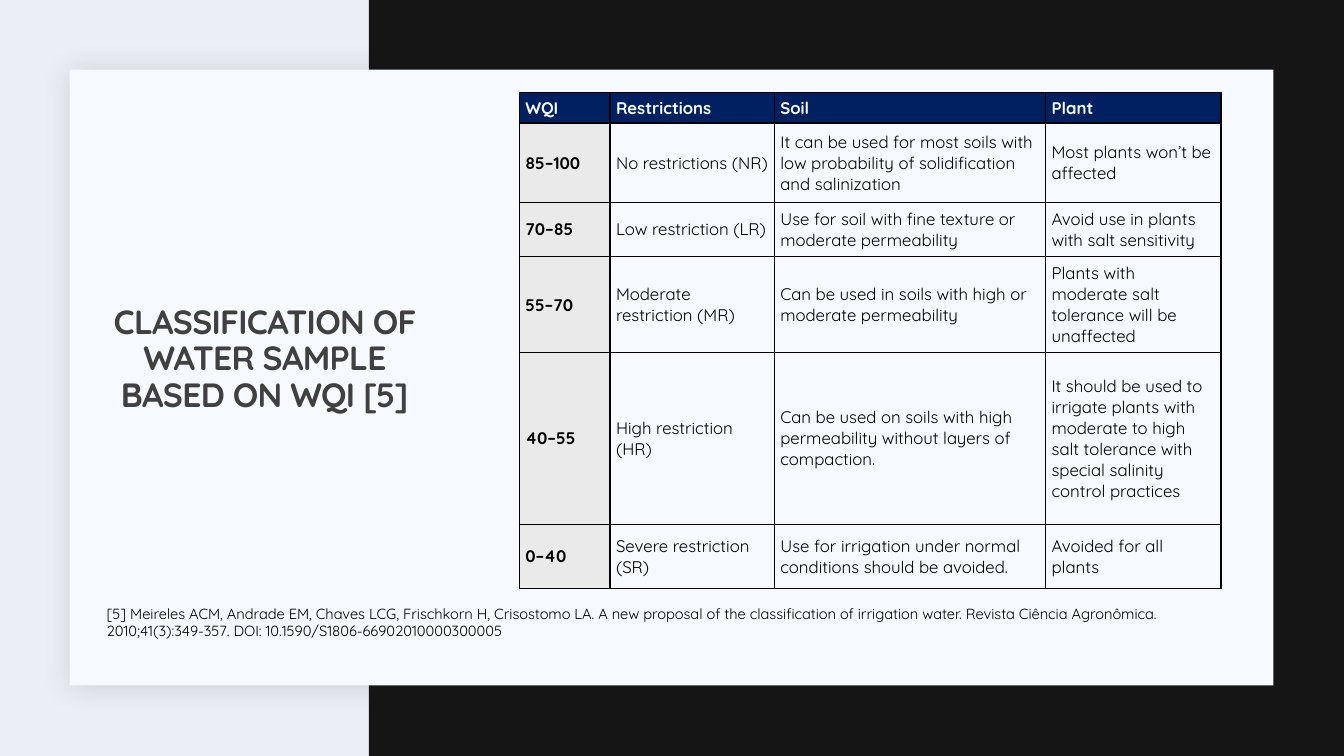
from lxml.etree import SubElement
from pptx import Presentation
from pptx.dml.color import RGBColor
from pptx.enum.shapes import MSO_SHAPE
from pptx.enum.text import MSO_ANCHOR, MSO_AUTO_SIZE, PP_ALIGN
from pptx.oxml import parse_xml
from pptx.oxml.ns import nsdecls, qn
from pptx.util import Inches, Pt

# Content
TITLE = "CLASSIFICATION OF WATER SAMPLE BASED ON WQI [5]"
REFERENCE = (
    "[5] Meireles ACM, Andrade EM, Chaves LCG, Frischkorn H, Crisostomo LA. "
    "A new proposal of the classification of irrigation water. Revista Ciência "
    "Agronômica. 2010;41(3):349-357. DOI: 10.1590/S1806-66902010000300005"
)
ROWS = [
    ("WQI", "Restrictions", "Soil", "Plant"),
    ("85–100", "No restrictions (NR)",
     "It can be used for most soils with low probability of solidification and salinization",
     "Most plants won’t be affected"),
    ("70–85", "Low restriction (LR)",
     "Use for soil with fine texture or moderate permeability",
     "Avoid use in plants with salt sensitivity"),
    ("55–70", "Moderate restriction (MR)",
     "Can be used in soils with high or moderate permeability",
     "Plants with moderate salt tolerance will be unaffected"),
    ("40–55", "High restriction (HR)",
     "Can be used on soils with high permeability without layers of compaction.",
     "It should be used to irrigate plants with moderate to high salt tolerance "
     "with special salinity control practices"),
    ("0–40", "Severe restriction (SR)",
     "Use for irrigation under normal conditions should be avoided.",
     "Avoided for all plants"),
]
COLUMN_WIDTHS = (0.9, 1.63, 2.69, 1.74)
ROW_HEIGHTS = (0.3, 0.79, 0.53, 0.94, 1.7, 0.64)

FONT = "Quicksand"
PALE, PANEL, DARK = "ECEEF7", "F6F9FF", "141514"
NAVY, GREY, BLACK, TITLE_GREY = "002060", "EAEAEB", "000000", "404040"


def paint(fill, color):
    fill.solid()
    fill.fore_color.rgb = RGBColor.from_string(color)


def write(paragraph, text, size, color, bold=False):
    run = paragraph.add_run()
    run.text = text
    run.font.name = FONT
    run.font.size = Pt(size)
    run.font.bold = bold
    run.font.color.rgb = RGBColor.from_string(color)
    return run


def add_panel(slide, box, color):
    panel = slide.shapes.add_shape(MSO_SHAPE.RECTANGLE, *map(Inches, box))
    panel.shadow.inherit = False
    paint(panel.fill, color)
    panel.line.fill.background()
    slide.shapes.title.element.addprevious(panel.element)  # keep behind the title
    return panel


def add_soft_shadow(shape):
    effects = shape.element.spPr.find(qn("a:effectLst"))
    effects.append(parse_xml(
        f'<a:outerShdw {nsdecls("a")} blurRad="{Pt(20)}" dist="{Pt(2)}" '
        'dir="2700000" algn="ctr" rotWithShape="0"><a:srgbClr val="1F2125">'
        '<a:alpha val="15000"/></a:srgbClr></a:outerShdw>'))


def add_borders(cell):
    properties = cell._tc.get_or_add_tcPr()
    for side in ("lnL", "lnR", "lnT", "lnB"):
        line = SubElement(properties, qn(f"a:{side}"), w=str(Pt(1)))
        SubElement(SubElement(line, qn("a:solidFill")), qn("a:srgbClr"), val=BLACK)


def format_cell(cell, text, is_header, is_label):
    add_borders(cell)
    if is_header or is_label:
        paint(cell.fill, NAVY if is_header else GREY)
    else:
        cell.fill.background()
    cell.vertical_anchor = MSO_ANCHOR.MIDDLE
    cell.margin_left = cell.margin_right = Inches(0.06)
    cell.margin_top = cell.margin_bottom = Inches(0 if is_header else 0.06)
    write(cell.text_frame.paragraphs[0], text, 12,
          PANEL if is_header else BLACK, is_header or is_label)


presentation = Presentation()
presentation.slide_width, presentation.slide_height = Inches(13.33), Inches(7.5)
slide = presentation.slides.add_slide(presentation.slide_layouts[5])
paint(slide.background.fill, PALE)

# Backdrop
add_panel(slide, (3.66, 0, 9.67, 7.5), DARK)
add_soft_shadow(add_panel(slide, (0.69, 0.69, 11.94, 6.11), PANEL))

# Title, raised by a deep bottom margin
title = slide.shapes.title
title.left, title.top, title.width, title.height = map(Inches, (0.96, 2.95, 3.33, 1.6))
frame = title.text_frame
frame.word_wrap = True
frame.auto_size = MSO_AUTO_SIZE.NONE
frame.vertical_anchor = MSO_ANCHOR.MIDDLE
frame.margin_bottom = Inches(0.41)
paragraph = frame.paragraphs[0]
paragraph.alignment = PP_ALIGN.CENTER
paragraph.line_spacing = 0.9
title_run = write(paragraph, TITLE, 24, TITLE_GREY, True)
title_run._r.get_or_add_rPr().set("spc", "-50")

# Classification table
table = slide.shapes.add_table(
    len(ROWS), len(COLUMN_WIDTHS), Inches(5.15), Inches(0.92),
    Inches(sum(COLUMN_WIDTHS)), Inches(sum(ROW_HEIGHTS))).table
table.horz_banding = False
for column, width in zip(table.columns, COLUMN_WIDTHS):
    column.width = Inches(width)
for row_index, (row, height, texts) in enumerate(zip(table.rows, ROW_HEIGHTS, ROWS)):
    row.height = Inches(height)
    for column_index, (cell, text) in enumerate(zip(row.cells, texts)):
        format_cell(cell, text, row_index == 0, column_index == 0)

# Reference
reference = slide.shapes.add_textbox(*map(Inches, (0.96, 5.95, 11.16, 0.63)))
reference.text_frame.word_wrap = True
write(reference.text_frame.paragraphs[0], REFERENCE, 10.5, BLACK)

presentation.save("out.pptx")
